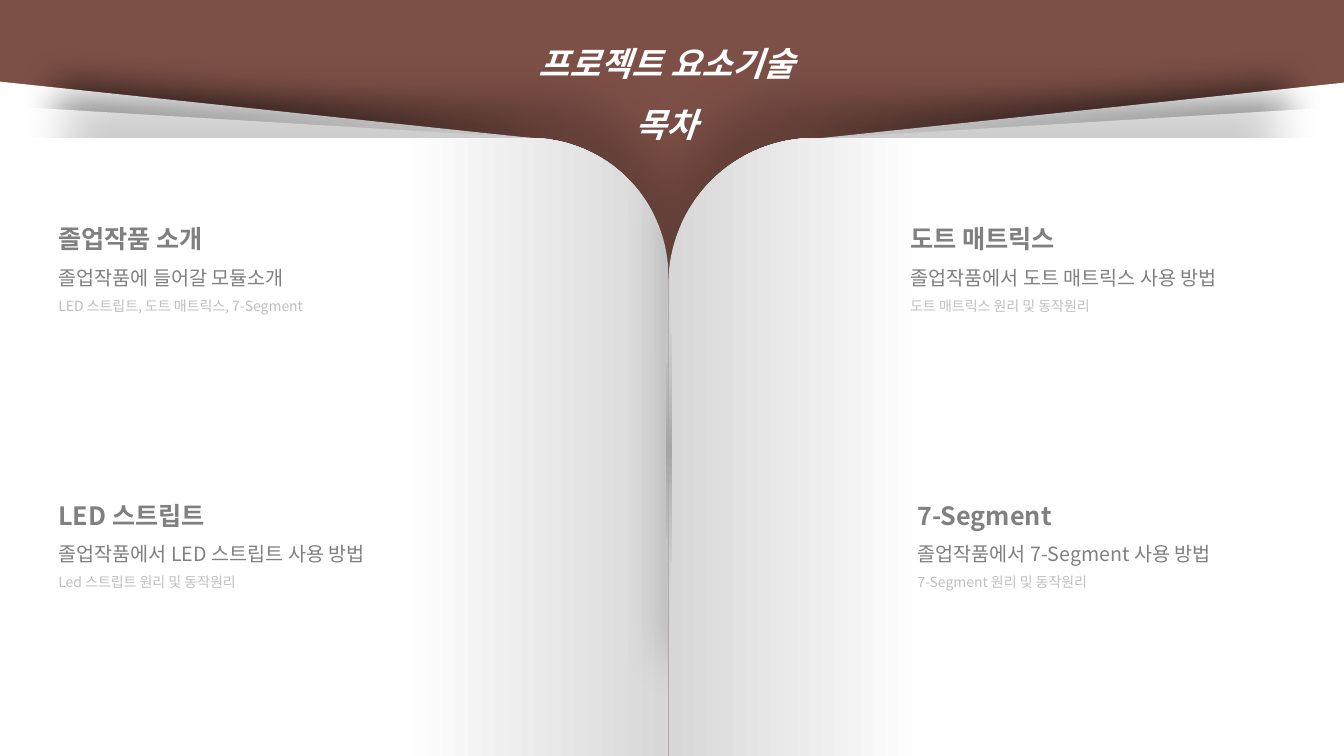
import pptx
import pptx.util
import pptx.dml.color
import pptx.enum.shapes
import pptx.enum.text
import pptx.oxml
import pptx.oxml.ns

Inches = pptx.util.Inches
FONT = "Noto Sans CJK KR"
NAMESPACE = pptx.oxml.ns.nsdecls("a")


def color(hex_string):
    return pptx.dml.color.RGBColor.from_string(hex_string)


def format_paragraph(paragraph, text, size, hex_string, bold):
    paragraph.text = text
    paragraph.line_spacing = 1.5
    paragraph.space_before = pptx.util.Pt(0)
    font = paragraph.font
    font.name = FONT
    font.size = pptx.util.Pt(size)
    font.bold = bold
    font.color.rgb = color(hex_string)
    font._element.append(pptx.oxml.parse_xml(f'<a:ea {NAMESPACE} typeface="{FONT}"/>'))


presentation = pptx.Presentation()
presentation.slide_width = Inches(13.33)
presentation.slide_height = Inches(7.5)
slide = presentation.slides.add_slide(presentation.slide_layouts[5])
slide.background.fill.solid()
slide.background.fill.fore_color.rgb = color("7C5047")

# Book pages: preset, left, top, width, height, mirrored, corner, gradient end
TRIANGLE = pptx.enum.shapes.MSO_SHAPE.RIGHT_TRIANGLE
PAGE = pptx.enum.shapes.MSO_SHAPE.ROUND_1_RECTANGLE
OVAL = pptx.enum.shapes.MSO_SHAPE.OVAL
book_parts = [
    (TRIANGLE, 7.86, 0.82, 5.47, 0.58, True, None, None),
    (TRIANGLE, 7.86, 1.06, 5.47, 0.33, True, None, None),
    (TRIANGLE, 0, 0.81, 5.47, 0.58, False, None, None),
    (TRIANGLE, 0, 1.05, 5.47, 0.33, False, None, None),
    (PAGE, 0, 1.37, 6.63, 6.13, False, 0.224, 0.40),
    (PAGE, 6.63, 1.37, 6.7, 6.13, True, 0.236, 0.38),
    (OVAL, 6.61, 2.5, 0.05, 3.94, True, None, 1),
]
for preset, left, top, width, height, mirrored, corner, gradient_end in book_parts:
    shape = slide.shapes.add_shape(
        preset, Inches(left), Inches(top), Inches(width), Inches(height))
    shape.line.fill.background()
    shape.shadow.inherit = False
    properties = shape._element.spPr
    if mirrored:
        properties.xfrm.set("flipH", "1")
    if corner:
        shape.adjustments[0] = corner

    # Paper fill, or shading that fades away from the spine
    if gradient_end:
        shape.fill.gradient()
        shape.fill.gradient_angle = 180
        start, end = shape.fill.gradient_stops
        start.position, end.position = 0, gradient_end
        start.color.rgb = color("A6A6A6" if preset == OVAL else "D7D7D7")
        end.color.rgb = color("D9D9D9" if preset == OVAL else "FFFFFF")
    else:
        shape.fill.solid()
        shape.fill.fore_color.rgb = color("FFFFFF")

    if preset == OVAL:
        # Spine crease: radial gradient to transparent
        gradient = properties.find(pptx.oxml.ns.qn("a:gradFill"))
        gradient.replace(gradient.find(pptx.oxml.ns.qn("a:lin")), pptx.oxml.parse_xml(
            f'<a:path {NAMESPACE} path="circle">'
            '<a:fillToRect l="50000" t="50000" r="50000" b="50000"/></a:path>'))
        gradient.findall(".//" + pptx.oxml.ns.qn("a:srgbClr"))[1].append(
            pptx.oxml.parse_xml(f'<a:alpha {NAMESPACE} val="0"/>'))
    else:
        # Upward shadow, narrowed towards the spine
        alpha, blur, distance = (20, 34, 72) if preset == PAGE else (40, 25, 6)
        effects = properties.find(pptx.oxml.ns.qn("a:effectLst"))
        effects.append(pptx.oxml.parse_xml(
            f'<a:outerShdw {NAMESPACE} blurRad="{pptx.util.Pt(blur)}" '
            f'dist="{pptx.util.Pt(distance)}" dir="16200000" sx="90000" sy="90000" '
            f'algn="{"bl" if mirrored else "br"}" rotWithShape="0">'
            f'<a:srgbClr val="000000"><a:alpha val="{alpha * 1000}"/></a:srgbClr>'
            '</a:outerShdw>'))

# Title, placed in front of the book
title = slide.shapes.title
slide.shapes._spTree.append(title._element)
title.left, title.top = Inches(4.22), Inches(0.18)
title.width, title.height = Inches(4.78), Inches(1.23)
title_frame = title.text_frame
title_frame.vertical_anchor = pptx.enum.text.MSO_ANCHOR.TOP
title_frame.auto_size = pptx.enum.text.MSO_AUTO_SIZE.SHAPE_TO_FIT_TEXT
title_frame.text = "프로젝트 요소기술\n목차"
for paragraph in title_frame.paragraphs:
    format_paragraph(paragraph, paragraph.text, 24, "FFFFFF", True)
    paragraph.font.italic = True
    paragraph.alignment = pptx.enum.text.PP_ALIGN.CENTER

# Contents: heading, summary and detail
line_styles = [(18, "808080", True), (14, "808080", False), (10, "BFBFBF", False)]
sections = [
    (0.48, 2.02, ["졸업작품 소개", "졸업작품에 들어갈 모듈소개",
                  "LED 스트립트, 도트 매트릭스, 7-Segment"]),
    (0.48, 4.76, ["LED 스트립트", "졸업작품에서 LED 스트립트 사용 방법",
                  "Led 스트립트 원리 및 동작원리"]),
    (8.93, 2.02, ["도트 매트릭스", "졸업작품에서 도트 매트릭스 사용 방법",
                  "도트 매트릭스 원리 및 동작원리"]),
    (9, 4.76, ["7-Segment", "졸업작품에서 7-Segment 사용 방법",
               "7-Segment 원리 및 동작원리"]),
]
for left, top, lines in sections:
    section = slide.shapes.add_textbox(
        Inches(left), Inches(top), Inches(3.92), Inches(1.13))
    frame = section.text_frame
    frame.word_wrap = True
    frame.auto_size = pptx.enum.text.MSO_AUTO_SIZE.SHAPE_TO_FIT_TEXT
    frame.text = "\n".join(lines)
    for paragraph, text, style in zip(frame.paragraphs, lines, line_styles):
        format_paragraph(paragraph, text, *style)

presentation.save("out.pptx")
